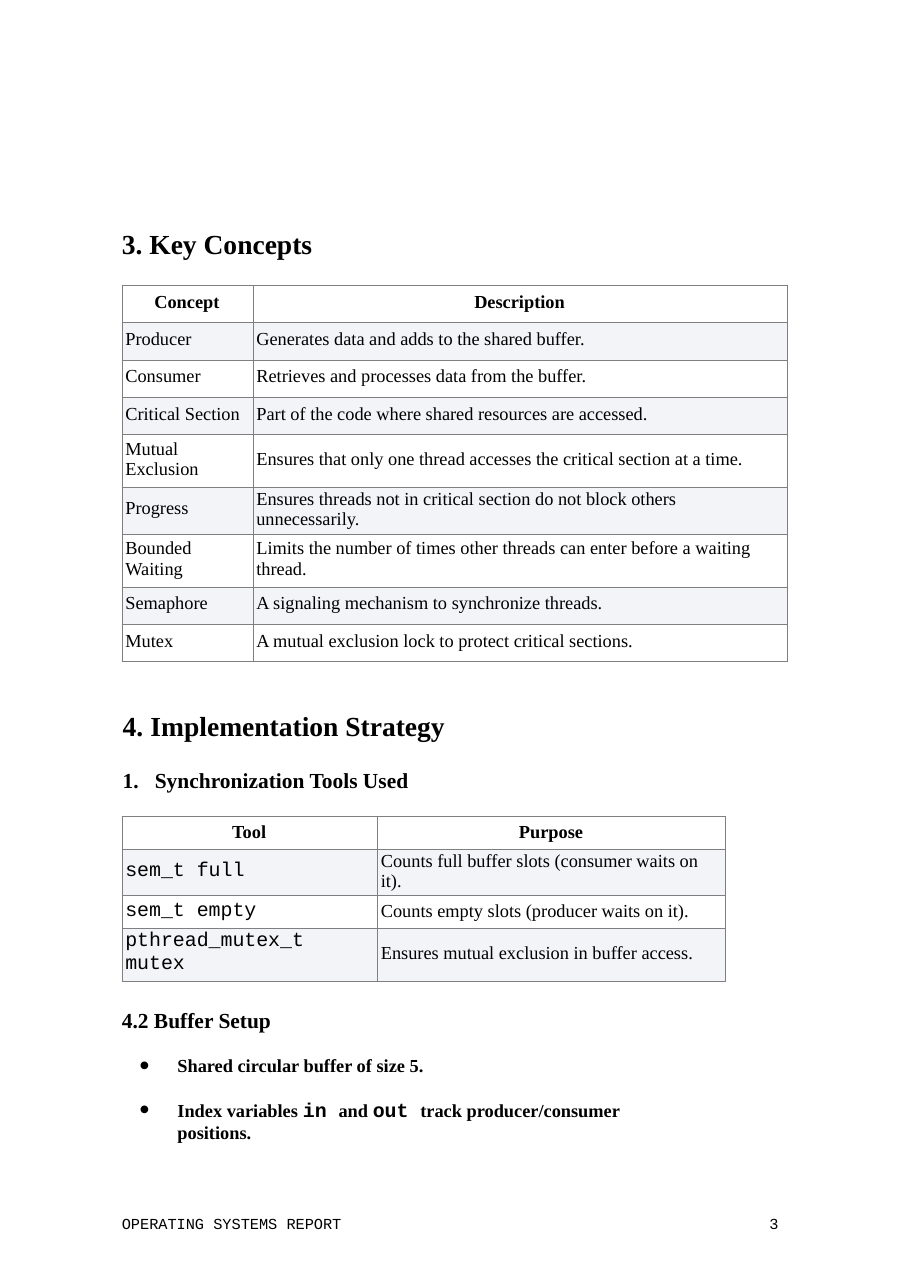
from dataclasses import dataclass

from lxml.etree import SubElement
from pptx import Presentation
from pptx.dml.color import RGBColor as Rgb
from pptx.enum.text import MSO_ANCHOR as Anchor, MSO_AUTO_SIZE as Fit, PP_ALIGN as Align
from pptx.oxml import parse_xml
from pptx.oxml.ns import nsdecls, qn
from pptx.util import Cm, Pt


@dataclass(frozen=True)
class Theme:
    serif: str = "Times New Roman"
    mono: str = "Courier New"
    ink: str = "000000"
    band: str = "F2F4F7"
    rule: str = "7F7F7F"
    head: int = 18
    sub: int = 14
    text: int = 12
    code: int = 13
    foot: int = 10


LOOK = Theme()
CODE = dict(font=LOOK.mono, size=LOOK.code)


def put(par, text, font=LOOK.serif, size=LOOK.text, bold=False):
    run = par.add_run()
    run.text = text
    run.font.name, run.font.size, run.font.bold = font, Pt(size), bold
    run.font.color.rgb = Rgb.from_string(LOOK.ink)


def mark(par, left, hang, tag, **keys):
    props = par._p.get_or_add_pPr()
    props.set("marL", str(Cm(left)))
    props.set("indent", str(-Cm(hang)))
    if tag == "buChar":
        SubElement(props, qn("a:buSzPct"), val="175000")
        SubElement(props, qn("a:buFont"), typeface=LOOK.serif)
    SubElement(props, qn("a:" + tag), **keys)


class Page:
    """Places styled elements on the current slide."""

    def __init__(self, deck, look):
        self.look = look
        self.slide = deck.slides.add_slide(deck.slide_layouts[1])

    def frame(self, shape, box, top=0.03):
        shape.left, shape.top, shape.width, shape.height = map(Cm, box)
        area = shape.text_frame
        area.word_wrap, area.auto_size = True, Fit.NONE
        area.vertical_anchor = Anchor.TOP
        area.margin_left = area.margin_right = area.margin_bottom = 0
        area.margin_top = Cm(top)
        area.paragraphs[0].alignment = Align.LEFT
        return area

    def title(self, text, box):
        area = self.frame(self.slide.shapes.title, box)
        put(area.paragraphs[0], text, size=self.look.head, bold=True)

    def label(self, text, box, top=0.03, **form):
        area = self.frame(self.slide.shapes.add_textbox(*map(Cm, box)), box, top)
        put(area.paragraphs[0], text, **form)
        return area

    def section(self, text, start, sub, box):
        area = self.label(text, box, size=self.look.head, bold=True)
        mark(area.paragraphs[0], 0.66, 0.64, "buAutoNum", type="arabicPeriod", startAt=str(start))
        par = area.add_paragraph()
        par.level, par.space_before = 1, Pt(16.4)
        put(par, sub, size=self.look.sub, bold=True)
        mark(par, 0.76, 0.74, "buAutoNum", type="arabicPeriod")

    def bullets(self, items, box, gap):
        area = self.frame(self.slide.placeholders[1], box, 0.1)
        for i, parts in enumerate(items):
            par = area.add_paragraph() if i else area.paragraphs[0]
            par.space_before = Pt(gap if i else 0)
            for text, form in parts:
                put(par, text, bold=True, **form)
            mark(par, 0.91, 0.89, "buChar", char="•")

    def cell(self, cell, text, top, band, align, **form):
        cell.margin_left, cell.margin_right = Cm(0.08), Cm(0.1)
        cell.margin_top, cell.margin_bottom = Cm(top), 0
        par = cell.text_frame.paragraphs[0]
        par.alignment = align
        put(par, text, **form)
        if band:
            cell.fill.solid()
            cell.fill.fore_color.rgb = Rgb.from_string(self.look.band)
        else:
            cell.fill.background()
        for i, side in enumerate("LRTB"):
            cell._tc.tcPr.insert(i, parse_xml(
                f'<a:ln{side} w="{Pt(0.5)}" {nsdecls("a")}><a:solidFill>'
                f'<a:srgbClr val="{self.look.rule}"/></a:solidFill></a:ln{side}>'))

    def table(self, spot, cols, rows, lead):
        high = sum(row[2] for row in rows)
        size = map(Cm, (*spot, sum(cols), high))
        grid = self.slide.shapes.add_table(len(rows), len(cols), *size).table
        grid.first_row = grid.horz_banding = False
        for col, wide in zip(grid.columns, cols):
            col.width = Cm(wide)
        for r, (name, text, tall, *tops) in enumerate(rows):
            grid.rows[r].height = Cm(tall)
            for c, words in enumerate((name, text)):
                form = dict(bold=True) if r == 0 else lead if c == 0 else {}
                align = Align.LEFT if r else Align.CENTER
                self.cell(grid.cell(r, c), words, tops[c], r % 2, align, **form)


ONE = (0.86, 0.15, 0.15)
SLIM = (0.76, 0.13, 0.13)
TERMS = [
    ("Concept", "Description", *ONE),
    ("Producer", "Generates data and adds to the shared buffer.", *ONE),
    ("Consumer", "Retrieves and processes data from the buffer.", *ONE),
    ("Critical Section", "Part of the code where shared resources are accessed.", *ONE),
    ("Mutual Exclusion", "Ensures that only one thread accesses the critical section at a time.",
     1.22, 0.1, 0.33),
    ("Progress", "Ensures threads not in critical section do not block others unnecessarily.",
     1.07, 0.25, 0.03),
    ("Bounded Waiting",
     "Limits the number of times other threads can enter before a waiting thread.",
     1.22, 0.1, 0.1),
    ("Semaphore", "A signaling mechanism to synchronize threads.", *ONE),
    ("Mutex", "A mutual exclusion lock to protect critical sections.", *ONE),
]
TOOLS = [
    ("Tool", "Purpose", *SLIM),
    ("sem_t full", "Counts full buffer slots (consumer waits on it).", 1.07, 0.25, 0.03),
    ("sem_t empty", "Counts empty slots (producer waits on it).", 0.76, 0.1, 0.13),
    ("pthread_mutex_t mutex", "Ensures mutual exclusion in buffer access.", 1.22, 0.03, 0.33),
]
NOTES = [
    [("Shared circular buffer of size 5.", {})],
    [("Index variables ", {}), ("in ", CODE), ("and ", {}), ("out ", CODE),
     ("track producer/consumer positions.", {})],
]


def main():
    deck = Presentation()
    deck.slide_width, deck.slide_height = Cm(20.98), Cm(29.69)
    page = Page(deck, LOOK)
    left = 2.81
    page.title("3. Key Concepts", (left, 5.21, 6, 0.84))
    page.table((left, 6.58), (3.02, 12.32), TERMS, {})
    page.section("Implementation Strategy", 4, "Synchronization Tools Used",
                 (left, 16.31, 9, 2.01))
    page.table((left, 18.82), (5.89, 8.03), TOOLS, CODE)
    page.label("4.2 Buffer Setup", (left, 23.19, 5, 0.66), size=LOOK.sub, bold=True)
    page.bullets(NOTES, (3.18, 24.21, 12.65, 2), 13.6)
    for text, start, wide in (("OPERATING SYSTEMS REPORT", left, 6), ("3", 17.74, 0.6)):
        page.label(text, (start, 27.91, wide, 0.56), 0.08, font=LOOK.mono, size=LOOK.foot)
    deck.save("out.pptx")


if __name__ == "__main__":
    main()
